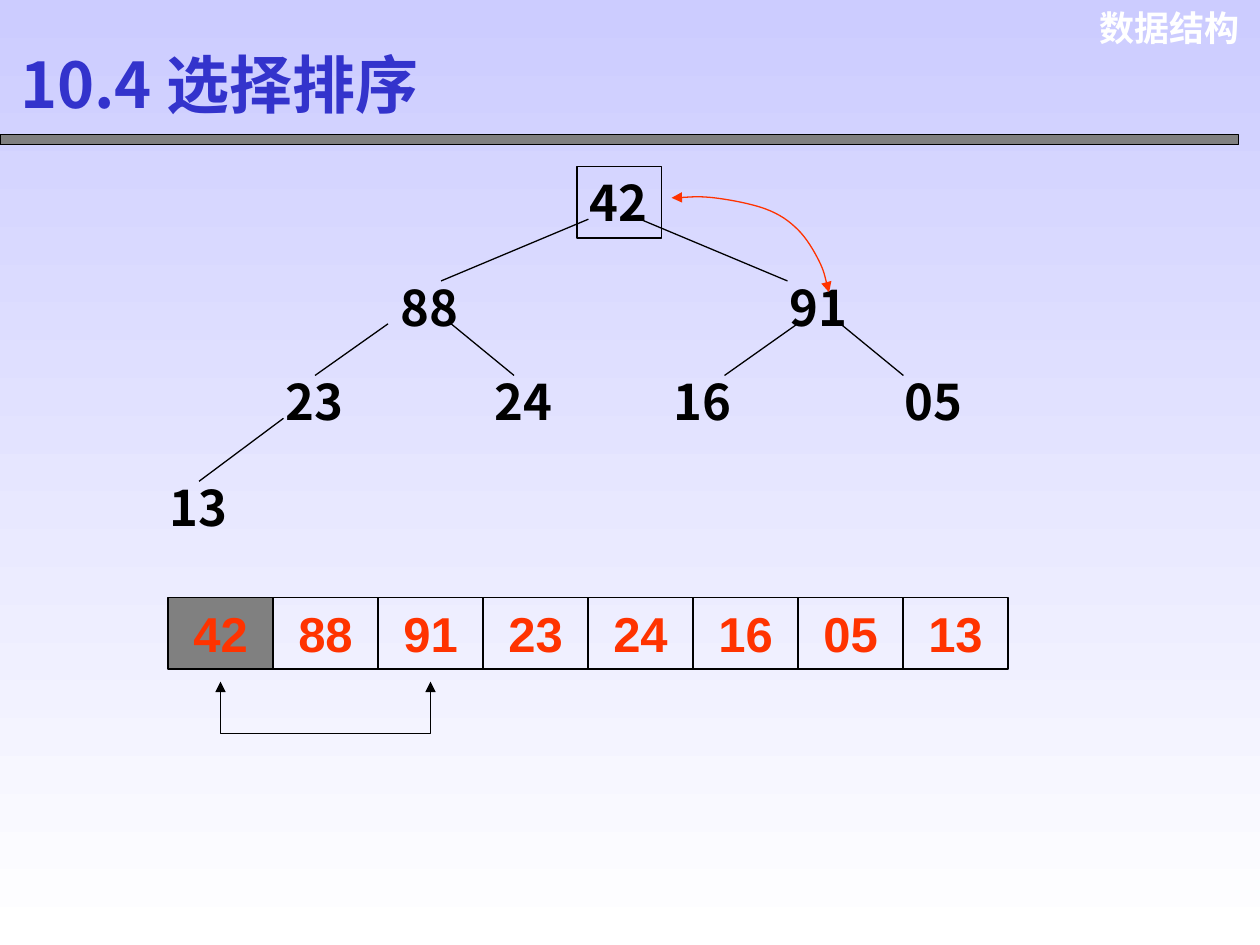
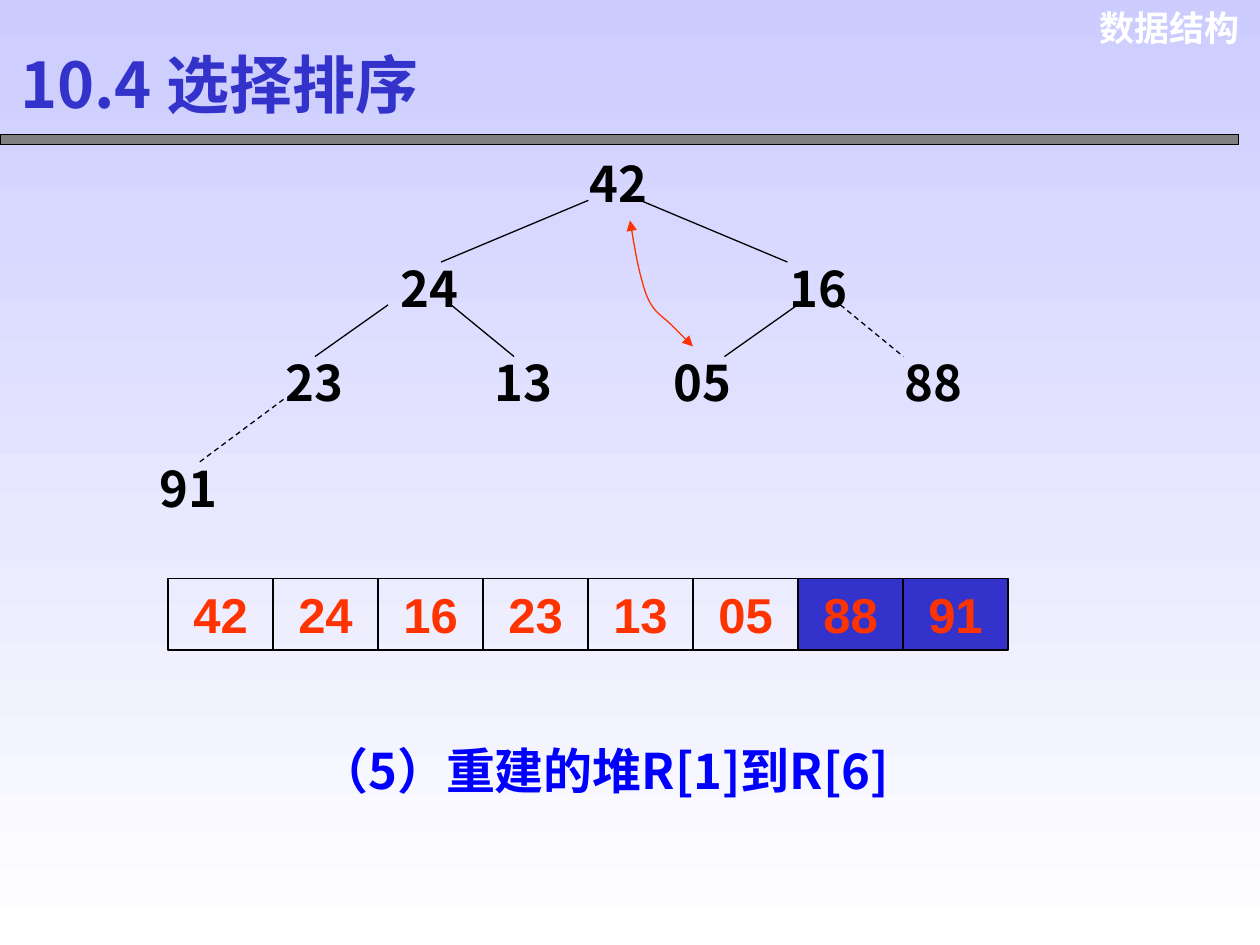
import pptx
import pptx.dml.color
import pptx.enum.dml
import pptx.enum.shapes
import pptx.enum.text
import pptx.oxml.ns
import pptx.util
from lxml import etree

Inches = pptx.util.Inches
Pt = pptx.util.Pt
RGBColor = pptx.dml.color.RGBColor
PP_ALIGN = pptx.enum.text.PP_ALIGN
qn = pptx.oxml.ns.qn

BLACK = RGBColor(0x00, 0x00, 0x00)
WHITE = RGBColor(0xFF, 0xFF, 0xFF)
GRAY = RGBColor(0x80, 0x80, 0x80)
LAVENDER = RGBColor(0xCC, 0xCC, 0xFF)
INDIGO = RGBColor(0x33, 0x33, 0xCC)
BLUE = RGBColor(0x00, 0x00, 0xFF)
RED = RGBColor(0xFF, 0x33, 0x00)

CJK = "Noto Sans CJK SC"
THIN = Pt(0.75)
ROW_HEIGHT = 0.57
NODE_WIDTH = 0.67
CELL_WIDTH = 5 / 6
ARRAY_LEFT = 4 / 3
ARRAY_DROP = 3.42
LEVELS = [0, 0.83, 1.58, 2.42]
EDGE_START = 0.42
EDGE_END = 0.08

NODE_LEFTS = [4.58, 3.08, 6.17, 2.17, 3.83, 5.25, 7.08]
EDGE_XS = {1: (4.67, 3.5), 2: (5.08, 6.25), 3: (3.08, 2.5), 4: (3.58, 4.08),
           5: (6.33, 5.75), 6: (6.67, 7.17), 7: (2.25, 1.58)}

HEAPS = [
    dict(top=1.32, keys=["42", "88", "91", "23", "24", "16", "05", "13"],
         last_left=1.25, root_border=True, cell_fills={0: GRAY}, dashed=[],
         swap=[(5.33, 1.57), (5.67, 1.57), (6.08, 1.66),
               (6.33, 1.82), (6.5, 2.07), (6.58, 2.32)]),
    dict(top=1.17, keys=["42", "24", "16", "23", "13", "05", "88", "91"],
         last_left=1.17, root_border=False, cell_fills={6: INDIGO, 7: INDIGO},
         dashed=[6, 7],
         swap=[(5.5, 2.75), (5.33, 2.58), (5.17, 2.42), (5.08, 2.17), (5, 1.75)]),
]


def add_text(slide, text, x, y, w, h, size=28, font=CJK, color=BLACK,
             align=PP_ALIGN.LEFT, fill=None, border=False):
    place = [Inches(v) for v in (x, y, w, h)]
    if border:
        sp = slide.shapes.add_shape(pptx.enum.shapes.MSO_SHAPE.RECTANGLE, *place)
        sp.shadow.inherit = False
        sp.line.color.rgb = BLACK
        sp.line.width = THIN
    else:
        sp = slide.shapes.add_textbox(*place)
    if fill is None:
        sp.fill.background()
    else:
        sp.fill.solid()
        sp.fill.fore_color.rgb = fill
    tf = sp.text_frame
    tf.word_wrap = True
    tf.vertical_anchor = pptx.enum.text.MSO_ANCHOR.TOP
    p = tf.paragraphs[0]
    p.text = text
    p.alignment = align
    p.font.size = Pt(size)
    p.font.bold = True
    p.font.name = font
    p.font.color.rgb = color
    return sp


def add_double_arrow(slide, points, color, smooth=False):
    points = [(Inches(x), Inches(y)) for x, y in points]
    builder = slide.shapes.build_freeform(*points[0])
    builder.add_line_segments(points[1:], close=False)
    sp = builder.convert_to_shape()
    sp.shadow.inherit = False
    sp.fill.background()
    sp.line.color.rgb = color
    sp.line.width = THIN
    ln = sp.element.find(".//" + qn("a:ln"))
    for end in ("a:headEnd", "a:tailEnd"):
        etree.SubElement(ln, qn(end)).set("type", "triangle")
    if smooth:
        local = [(x - sp.left, y - sp.top) for x, y in points]
        padded = [local[0], *local, local[-1]]
        for i, segment in enumerate(sp.element.findall(".//" + qn("a:lnTo"))):
            before, start, end, after = padded[i:i + 4]
            segment.tag = qn("a:cubicBezTo")
            leave = [s + (e - b) / 6 for b, s, e in zip(before, start, end)]
            arrive = [e - (a - s) / 6 for s, e, a in zip(start, end, after)]
            for position, (x, y) in enumerate((leave, arrive)):
                control = etree.Element(qn("a:pt"), x=str(round(x)), y=str(round(y)))
                segment.insert(position, control)


prs = pptx.Presentation()
prs.slide_width = Inches(10)
prs.slide_height = Inches(7.5)

background = prs.slide_master.background.fill
background.gradient()
background.gradient_angle = 270
for stop, color in zip(background.gradient_stops, (LAVENDER, WHITE)):
    stop.color.rgb = color

layout = prs.slide_layouts[5]
title = layout.placeholders[0]
title.left, title.top = Inches(0.06), Inches(0.29)
title.width, title.height = Inches(3.72), Inches(0.75)

heap_slides = []
for heap in HEAPS:
    s = prs.slides.add_slide(layout)
    heap_slides.append(s)
    top = heap["top"]

    p = s.shapes.title.text_frame.paragraphs[0]
    p.text = "10.4 选择排序"
    p.alignment = PP_ALIGN.LEFT
    p.font.size = Pt(36)
    p.font.bold = True
    p.font.name = CJK
    p.font.color.rgb = INDIGO

    node_lefts = NODE_LEFTS + [heap["last_left"]]
    for i, (key, left) in enumerate(zip(heap["keys"], node_lefts)):
        level = (i + 1).bit_length() - 1
        add_text(s, key, left, top + LEVELS[level], NODE_WIDTH, ROW_HEIGHT,
                 border=i == 0 and heap["root_border"])

    for child, (start_x, end_x) in EDGE_XS.items():
        level = (child + 1).bit_length() - 1
        edge = s.shapes.add_connector(
            pptx.enum.shapes.MSO_CONNECTOR.STRAIGHT,
            Inches(start_x), Inches(top + LEVELS[level - 1] + EDGE_START),
            Inches(end_x), Inches(top + LEVELS[level] + EDGE_END))
        edge.line.color.rgb = BLACK
        edge.line.width = THIN
        if child in heap["dashed"]:
            edge.line.dash_style = pptx.enum.dml.MSO_LINE.DASH
        etree.SubElement(edge.element.spPr, qn("a:effectLst"))

    for i, key in enumerate(heap["keys"]):
        add_text(s, key, ARRAY_LEFT + i * CELL_WIDTH, top + ARRAY_DROP,
                 CELL_WIDTH, ROW_HEIGHT, font="Arial", color=RED,
                 align=PP_ALIGN.CENTER, fill=heap["cell_fills"].get(i), border=True)

    add_double_arrow(s, heap["swap"], RED, smooth=True)

swap_slide, rebuilt_slide = heap_slides

left, right = [ARRAY_LEFT + (i + 0.5) * CELL_WIDTH for i in (0, 2)]
tip, base = 5.41, 5.82
add_double_arrow(swap_slide, [(left, tip), (left, base), (right, base), (right, tip)],
                 BLACK)

add_text(rebuilt_slide, "（5）重建的堆R[1]到R[6]", 1.92, 5.83, 5.75, ROW_HEIGHT,
         color=BLUE, align=PP_ALIGN.CENTER)

course = add_text(swap_slide, "数据结构", 8.57, 0, 1.37, 0.44, size=20,
                  font="Arial", color=WHITE, align=PP_ALIGN.RIGHT)
band = add_text(swap_slide, "", 0, 1.07, 9.83, 0.08, fill=GRAY, border=True)
for sp in (course, band):
    layout.shapes.element.append(sp.element)

prs.save("out.pptx")
